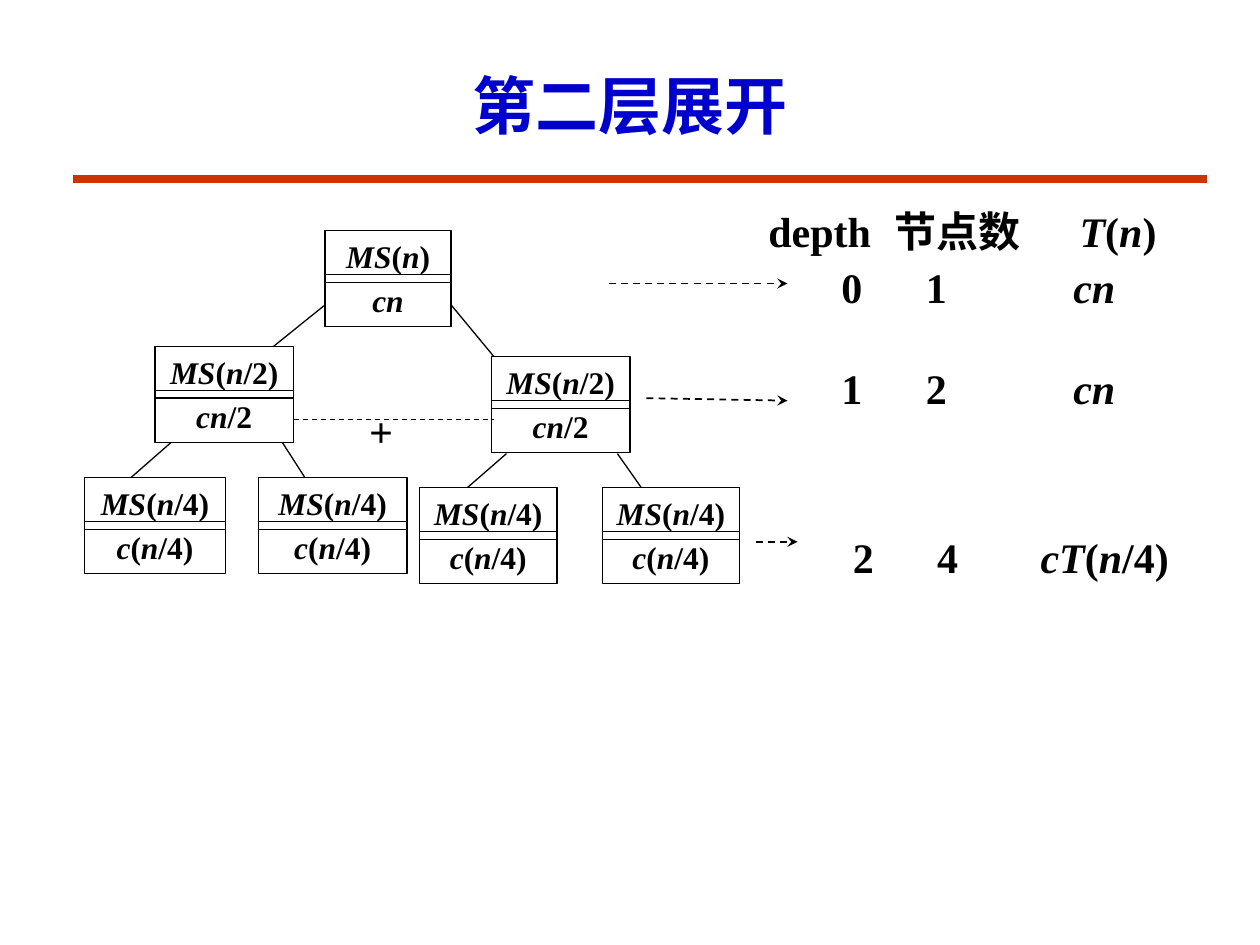
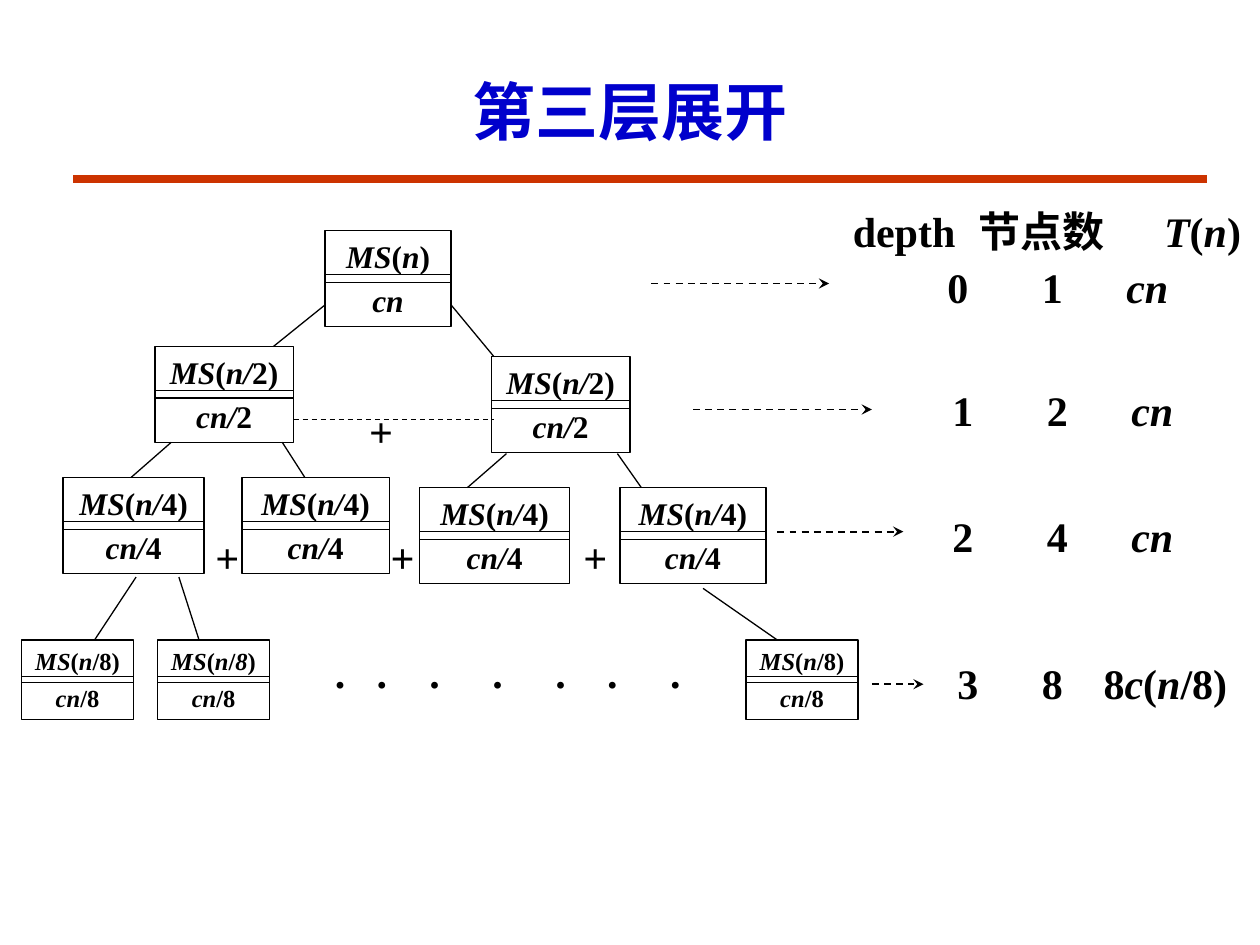
import dataclasses

import lxml.etree
import pptx
import pptx.dml.color
import pptx.enum.dml
import pptx.enum.shapes
import pptx.enum.text
import pptx.oxml.ns
import pptx.util

Inches = pptx.util.Inches
Pt = pptx.util.Pt
Align = pptx.enum.text.PP_ALIGN
Anchor = pptx.enum.text.MSO_ANCHOR


@dataclasses.dataclass(frozen=True)
class Theme:
    face: str = "Times New Roman"
    ink: str = "000000"
    blue: str = "0000CC"
    red: str = "CC3300"
    title: int = 36
    body: int = 24
    node: int = 18
    leaf: int = 14
    thin: float = 0.75
    arrow: float = 1
    rule: float = 4.5


THEME = Theme()
HEAD_TABS = (1, 2.47)


def color(code):
    return pptx.dml.color.RGBColor.from_string(code)


def add_tag(parent, name, **values):
    return lxml.etree.SubElement(parent, pptx.oxml.ns.qn(name), **values)


def write(shape, text, size, ink=THEME.ink, align=Align.LEFT, tabs=(), anchor=Anchor.TOP):
    frame = shape.text_frame
    frame.word_wrap = True
    frame.vertical_anchor = anchor
    para = frame.paragraphs[0]
    para.alignment = align
    if tabs:
        stops = add_tag(para._p.get_or_add_pPr(), "a:tabLst")
        for stop in tabs:
            add_tag(stops, "a:tab", pos=str(Inches(stop)), algn="l")
    font = para.font
    font.name, font.size, font.bold = THEME.face, Pt(size), True
    font.color.rgb = color(ink)
    for index, part in enumerate(text.split("*")):
        if part:
            run = para.add_run()
            run.text = part
            run.font.italic = index % 2 == 1


def add_text(slide, left, top, width, height, text, size=THEME.body, **style):
    box = slide.shapes.add_textbox(*map(Inches, (left, top, width, height)))
    write(box, text, size, **style)


def add_line(slide, start, end, ink=THEME.ink, width=THEME.thin, dash=False, arrow=False):
    line = slide.shapes.add_connector(
        pptx.enum.shapes.MSO_CONNECTOR.STRAIGHT, *map(Inches, start + end))
    line.line.color.rgb = color(ink)
    line.line.width = Pt(width)
    if dash:
        line.line.dash_style = pptx.enum.dml.MSO_LINE.DASH
    if arrow:
        add_tag(line.line._get_or_add_ln(), "a:tailEnd", type="stealth")
    add_tag(line._element.spPr, "a:effectLst")


def add_arrow(slide, start, end):
    add_line(slide, start, end, width=THEME.arrow, dash=True, arrow=True)


def add_node(slide, left, top, width, call, cost, size=THEME.node):
    height, step = (0.41, 0.35) if size == THEME.node else (0.34, 0.29)
    for row, text in enumerate((call, cost)):
        box = slide.shapes.add_shape(
            pptx.enum.shapes.MSO_SHAPE.RECTANGLE,
            *map(Inches, (left, top + row * step, width, height)))
        box.shadow.inherit = False
        box.fill.background()
        box.line.color.rgb = color(THEME.ink)
        box.line.width = Pt(THEME.thin)
        write(box, text, size, align=Align.CENTER)


def add_plus(slide, left, top):
    add_text(slide, left, top, 0.39, 0.5, "+", align=Align.CENTER)


def add_row(slide, left, top, tabs, *cells):
    add_text(slide, left, top, 2.42, 0.5, "\t".join(cells), tabs=tabs)


def add_tree(deck, title, top, left, half):
    slide = deck.slides.add_slide(deck.slide_layouts[6])
    add_line(slide, (0.58, 1.42), (9.58, 1.42), THEME.red, THEME.rule)
    add_text(slide, 0.75, top, 8.5, 1.33 - top, title, THEME.title,
             ink=THEME.blue, align=Align.CENTER, anchor=Anchor.MIDDLE)
    add_text(slide, left, 1.58, 3.3, 0.5, "depth\t节点数\t*T*(*n*)", tabs=HEAD_TABS)
    add_node(slide, 2.58, 1.83, 1, "*MS*(*n*)", "*cn*")
    for spot in ((1.23, 2.75), (3.9, 2.83)):
        add_node(slide, *spot, 1.1, f"*MS*(*{half})", f"*c{half}")
    for start, end in (
        ((2.58, 2.42), (2.17, 2.75)), ((3.58, 2.42), (3.92, 2.83)),
        ((1.36, 3.51), (1.04, 3.79)), ((2.24, 3.51), (2.42, 3.79)),
        ((4.02, 3.6), (3.71, 3.87)), ((4.9, 3.6), (5.09, 3.87)),
    ):
        add_line(slide, start, end)
    add_line(slide, (2.33, 3.33), (3.92, 3.33), dash=True)
    add_plus(slide, 2.83, 3.17)
    return slide


def add_second(deck):
    slide = add_tree(deck, "第二层展开", 0.33, 6, "n*/2")
    for left, top, width in ((0.67, 3.79, 1.12), (2.05, 3.79, 1.18),
                             (3.33, 3.87, 1.09), (4.78, 3.87, 1.09)):
        add_node(slide, left, top, width, "*MS*(*n*/4)", "*c*(*n*/4)")
    for start, end in (((4.83, 2.25), (6.25, 2.25)), ((5.13, 3.16), (6.25, 3.18)),
                       ((6, 4.3), (6.33, 4.3))):
        add_arrow(slide, start, end)
    add_row(slide, 6.58, 2.03, (0.67, 1.84), "0", "1", "*cn*")
    add_row(slide, 6.58, 2.83, (0.67, 1.84), "1", "2", "*cn*")
    add_text(slide, 6.67, 4.17, 2.83, 0.5, "2\t4\t*cT*(*n*/4)", tabs=(0.67, 1.49))


def add_third(deck):
    slide = add_tree(deck, "第三层展开", 0.42, 6.67, "n/*2")
    for left, top, width in ((0.5, 3.79, 1.12), (1.92, 3.79, 1.17),
                             (3.33, 3.87, 1.19), (4.92, 3.87, 1.16)):
        add_node(slide, left, top, width, "*MS*(*n/*4)", "*cn/*4")
    for left in (1.61, 3, 4.53):
        add_plus(slide, left, 4.17)
    for left, part in ((0.17, "*n*/8"), (1.25, "*n*/*8*"), (5.92, "*n*/8")):
        add_node(slide, left, 5.08, 0.89, f"*MS*({part})", "*cn*/8", THEME.leaf)
    for start, end in (((1.08, 4.58), (0.75, 5.08)), ((1.42, 4.58), (1.58, 5.08)),
                       ((5.58, 4.67), (6.17, 5.08))):
        add_line(slide, start, end)
    add_text(slide, 2.56, 5.08, 3.08, 0.5, "\t".join("." * 7),
             tabs=(0.33, 0.75, 1.25, 1.75, 2.16, 2.66))
    for left, right, top in ((5.17, 6.58, 2.25), (5.5, 6.92, 3.25),
                             (6.17, 7.17, 4.22), (6.92, 7.33, 5.43)):
        add_arrow(slide, (left, top), (right, top))
    for depth, (left, top) in enumerate(((7.42, 2.03), (7.46, 3), (7.46, 4))):
        add_row(slide, left, top, (0.75, 1.42), str(depth), str(2 ** depth), "*cn*")
    add_row(slide, 7.5, 5.17, (0.67, 1.16), "3", "8", "8*c*(*n*/8)")


def main():
    deck = pptx.Presentation()
    deck.slide_width, deck.slide_height = Inches(10), Inches(7.5)
    add_second(deck)
    add_third(deck)
    deck.save("out.pptx")


if __name__ == "__main__":
    main()
